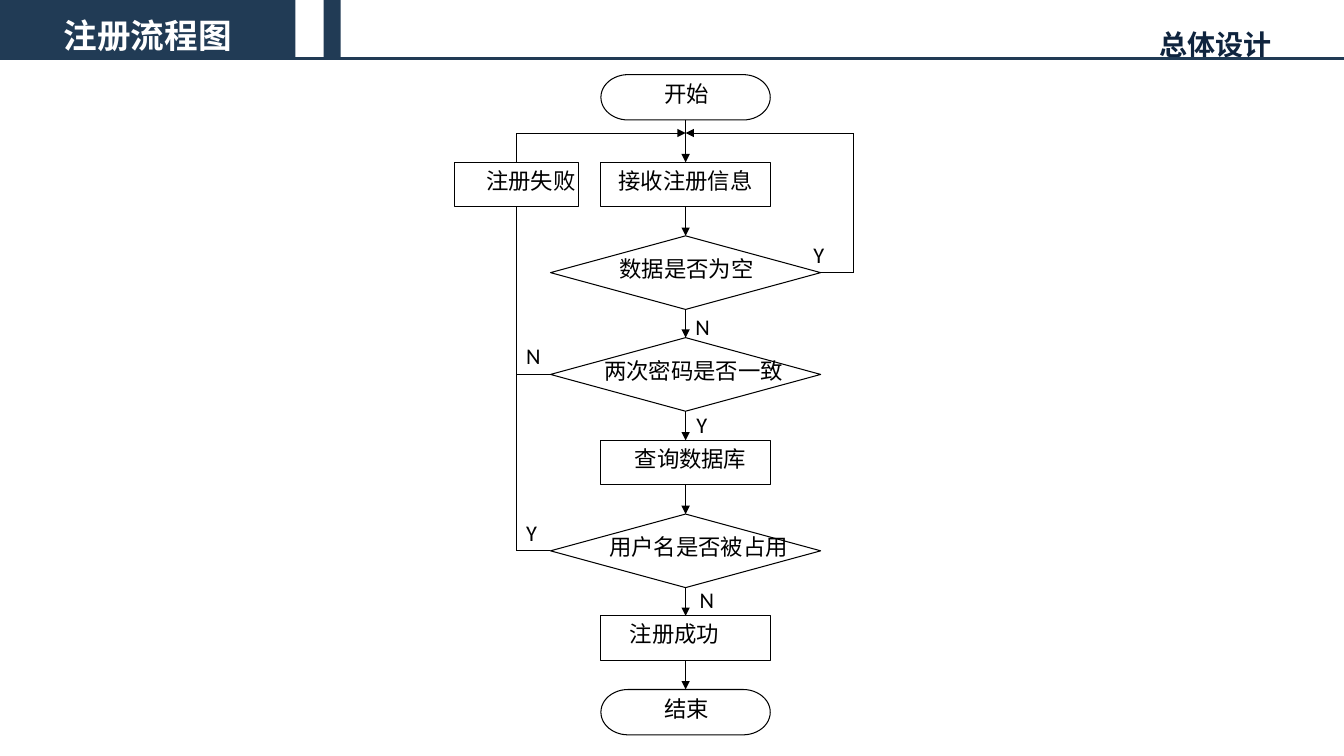
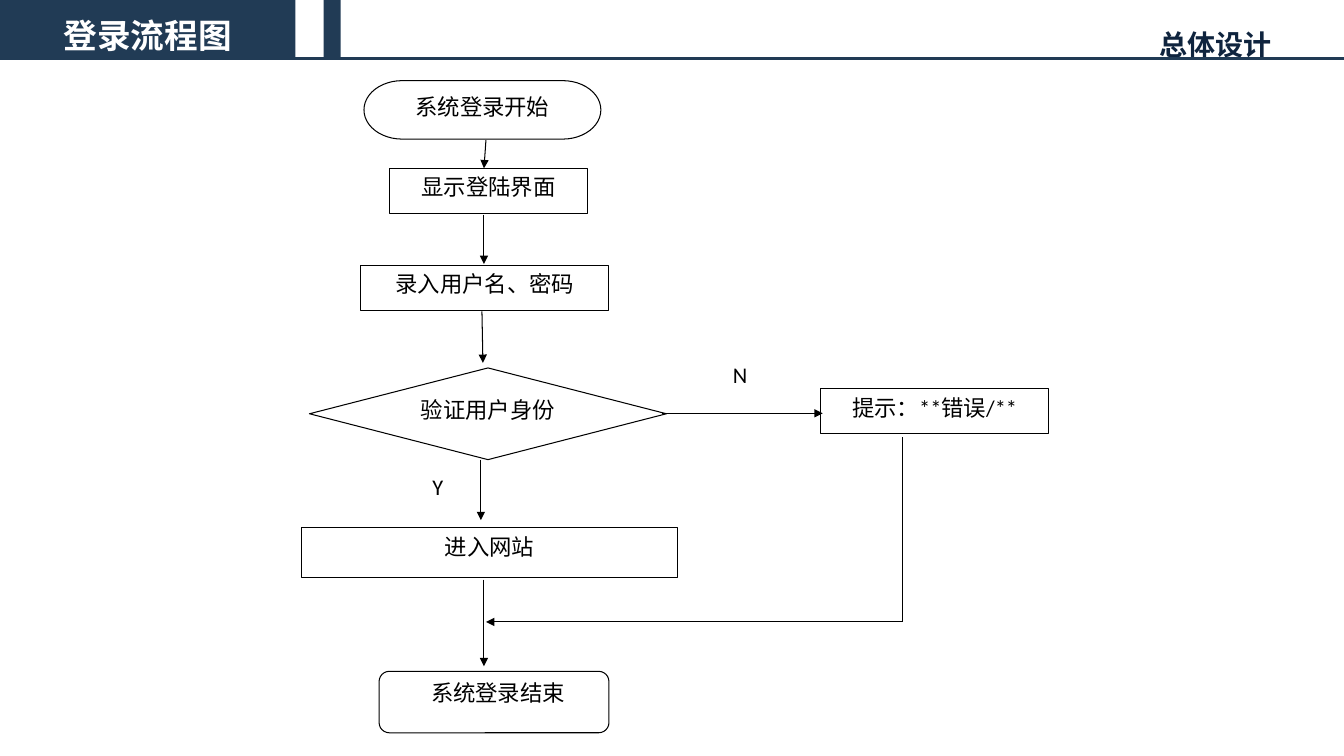
from dataclasses import dataclass
from itertools import pairwise

from lxml import etree
from pptx import Presentation
from pptx.dml.color import RGBColor
from pptx.enum.shapes import MSO_CONNECTOR, MSO_SHAPE
from pptx.enum.text import MSO_ANCHOR, PP_ALIGN
from pptx.oxml.ns import qn
from pptx.util import Pt


# Theme
@dataclass(frozen=True)
class Theme:
    navy: str = "213B55"
    ink: str = "0F243E"
    white: str = "FFFFFF"
    black: str = "000000"
    head_font: str = "Arial"
    body_font: str = "Calibri"
    title_size: int = 24
    section_size: int = 20
    body_size: int = 16
    rule: float = 2
    line: float = 0.75


T = Theme()
WIDTH, HEIGHT = 1333, 750
BAND = 58

TERMINATOR = MSO_SHAPE.FLOWCHART_TERMINATOR
PROCESS = MSO_SHAPE.FLOWCHART_PROCESS
DECISION = MSO_SHAPE.FLOWCHART_DECISION
RECT = MSO_SHAPE.RECTANGLE
ROUNDED = MSO_SHAPE.ROUNDED_RECTANGLE

# Connection sites
TOP, BOTTOM = 0, 2


def px(n):
    """100 px to the inch, in EMU."""
    return n * 9144


def rgb(code):
    return RGBColor.from_string(code)


# Text
def write(sp, text, *, size=T.body_size, font=T.body_font, color=T.black,
          bold=False, align=PP_ALIGN.CENTER, anchor=MSO_ANCHOR.MIDDLE,
          spacing=None, wrap=True):
    tf = sp.text_frame
    tf.word_wrap = wrap
    tf.vertical_anchor = anchor
    p = tf.paragraphs[0]
    p.alignment = align
    if spacing:
        p.line_spacing = spacing
    r = p.add_run()
    r.text = text
    r.font.size = Pt(size)
    r.font.name = font
    r.font.bold = bold
    r.font.color.rgb = rgb(color)


def text_box(s, x, y, w, h, text, **fmt):
    sp = s.shapes.add_textbox(px(x), px(y), px(w), px(h))
    write(sp, text, **fmt)


def label(s, x, y, text):
    text_box(s, x, y, 50, 44, text, align=PP_ALIGN.LEFT, anchor=MSO_ANCHOR.TOP)


# Shapes
def block(s, kind, x, y, w, h, fill, line=None):
    sp = s.shapes.add_shape(kind, px(x), px(y), px(w), px(h))
    sp.shadow.inherit = False
    sp.fill.solid()
    sp.fill.fore_color.rgb = rgb(fill)
    if line:
        sp.line.color.rgb = rgb(line)
        sp.line.width = Pt(T.line)
    else:
        sp.line.fill.background()
    return sp


def node(s, kind, x, y, w, h, text, dx=0, dy=-4):
    """Flowchart step; dx and dy shift its text off the centre."""
    sp = block(s, kind, x, y, w, h, T.white, T.black)
    write(sp, text, wrap=False)
    tf = sp.text_frame
    tf.margin_left, tf.margin_right = px(max(2 * dx, 0)), px(max(-2 * dx, 0))
    tf.margin_top, tf.margin_bottom = px(max(2 * dy, 0)), px(max(-2 * dy, 0))
    return sp


# Lines
def line(s, start, end, color=T.black, width=T.line, arrow=False):
    c = s.shapes.add_connector(MSO_CONNECTOR.STRAIGHT,
                               *(px(n) for n in (*start, *end)))
    c.line.color.rgb = rgb(color)
    c.line.width = Pt(width)
    if arrow:
        etree.SubElement(c.line._get_or_add_ln(), qn("a:tailEnd"), type="triangle")
    etree.SubElement(c._element.spPr, qn("a:effectLst"))
    return c


def route(s, *points, arrow=True):
    """Chain of straight lines, with an arrowhead at its far end."""
    for start, end in pairwise(points):
        line(s, start, end, arrow=arrow and end == points[-1])


def link(s, upper, lower):
    c = line(s, (0, 0), (0, 0), arrow=True)
    c.begin_connect(upper, BOTTOM)
    c.end_connect(lower, TOP)


# Slides
def add_slide(prs, title):
    s = prs.slides.add_slide(prs.slide_layouts[6])
    text_box(s, 741, 12, 530, 54, "总体设计", size=T.section_size,
             font=T.head_font, color=T.ink, bold=True, spacing=1.3,
             align=PP_ALIGN.RIGHT, anchor=MSO_ANCHOR.TOP)
    band = block(s, RECT, 0, 0, 293, BAND, T.navy)
    write(band, title, size=T.title_size, font=T.head_font, color=T.white,
          bold=True, spacing=1.3)
    block(s, RECT, 321, 0, 17, BAND, T.navy)
    line(s, (0, BAND), (WIDTH, BAND), T.navy, T.rule)
    return s


def registration_slide(prs):
    s = add_slide(prs, "注册流程图")
    axis, fail_axis, retry_axis, merge_y = 680, 512, 847, 132
    sizes = {TERMINATOR: (168, 45), PROCESS: (168, 44), DECISION: (268, 73)}

    # Main column: kind, top, text, text shift
    steps = [
        (TERMINATOR, 74, "开始", 1),
        (PROCESS, 161, "接收注册信息", 0),
        (DECISION, 234, "数据是否为空", 1),
        (DECISION, 335, "两次密码是否一致", 8),
        (PROCESS, 437, "查询数据库", 5),
        (DECISION, 510, "用户名是否被占用", 13),
        (PROCESS, 611, "注册成功", -11),
        (TERMINATOR, 684, "结束", 1),
    ]
    nodes = []
    for kind, y, text, dx in steps:
        w, h = sizes[kind]
        nodes.append(node(s, kind, axis - w // 2, y, w, h, text, dx))
    for upper, lower in pairwise(nodes):
        link(s, upper, lower)

    # Return paths
    merge = (axis, merge_y)
    route(s, (814, 270), (retry_axis, 270), (retry_axis, merge_y), merge)
    route(s, (546, 372), (fail_axis, 372), (fail_axis, merge_y), merge)
    route(s, (546, 546), (fail_axis, 546), (fail_axis, 372), arrow=False)
    node(s, PROCESS, 451, 161, 123, 44, "注册失败", 14)

    # Branch labels
    for x, y, text in [(797, 234, "Y"), (680, 306, "N"), (512, 335, "N"),
                       (681, 403, "Y"), (512, 510, "Y"), (684, 577, "N")]:
        label(s, x, y, text)


def login_slide(prs):
    s = add_slide(prs, "登录流程图")

    # Steps
    node(s, TERMINATOR, 361, 80, 235, 58, "系统登录开始", dy=-3)
    node(s, RECT, 386, 167, 197, 45, "显示登陆界面")
    node(s, RECT, 358, 263, 246, 45, "录入用户名、密码")
    node(s, DECISION, 307, 365, 354, 91, "验证用户身份")
    node(s, RECT, 299, 523, 373, 50, "进入网站", dy=-6)
    node(s, ROUNDED, 376, 666, 228, 61, "系统登录结束", dx=4, dy=-9)
    node(s, RECT, 814, 385, 226, 45, "提示：**错误/**", dy=-3)

    # Arrows
    for start, end in [((482, 139), (480, 167)), ((480, 213), (480, 262)),
                       ((478, 309), (479, 360)), ((477, 456), (477, 516)),
                       ((480, 575), (480, 661)), ((657, 410), (816, 410))]:
        route(s, start, end)
    route(s, (895, 434), (895, 617), (482, 617))

    # Branch labels
    label(s, 717, 353, "N")
    label(s, 419, 464, "Y")


def main():
    prs = Presentation()
    prs.slide_width, prs.slide_height = px(WIDTH), px(HEIGHT)
    registration_slide(prs)
    login_slide(prs)
    prs.save("out.pptx")


if __name__ == "__main__":
    main()
